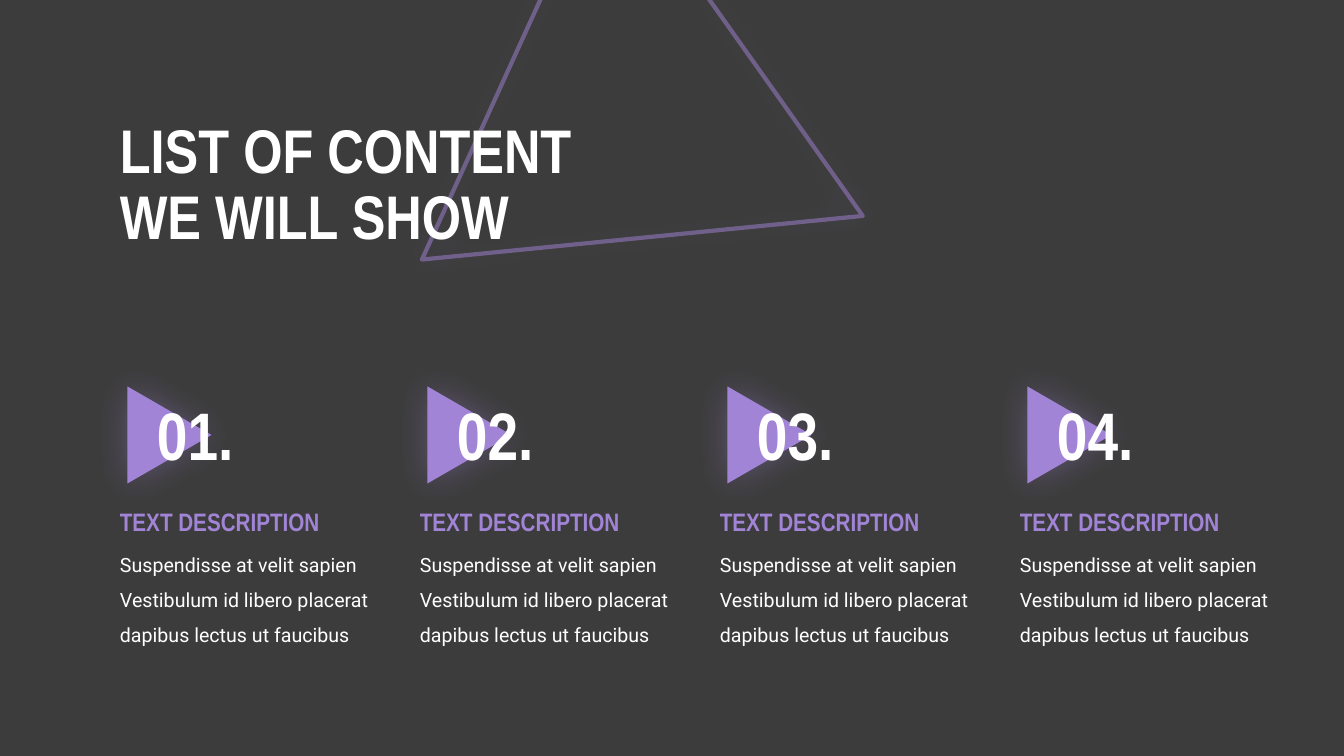
from lxml.etree import SubElement
from pptx import Presentation
from pptx.dml.color import RGBColor
from pptx.enum.shapes import MSO_SHAPE
from pptx.enum.text import MSO_ANCHOR, MSO_AUTO_SIZE
from pptx.oxml.ns import qn
from pptx.util import Emu, Pt

PURPLE, WHITE, CHARCOAL = "A284D7", "FFFFFF", "3C3C3C"
HEADING_FONT, BODY_FONT = "Arial Narrow", "Roboto"
BODY = "Suspendisse at velit sapien Vestibulum id libero placerat dapibus lectus ut faucibus"
COLUMN_PITCH = 300


def px(length):
    return Emu(round(length * 914400 / 100.8))


def color(value):
    return RGBColor.from_string(value)


def add_text(page, box, text, size, font, ink, bold=True, spacing=None):
    frame = page.shapes.add_textbox(*map(px, box)).text_frame
    frame.word_wrap = True
    frame.auto_size = MSO_AUTO_SIZE.SHAPE_TO_FIT_TEXT
    para = frame.paragraphs[0]
    para.text = text
    para.line_spacing = spacing
    for span in para.runs:
        span.font.name = font
        span.font.size = Pt(size)
        span.font.bold = bold
        span.font.color.rgb = color(ink)
    return frame


def add_triangle(page, box, rotation):
    """Add an unfilled, unlined triangle with a soft purple glow."""
    triangle = page.shapes.add_shape(MSO_SHAPE.ISOSCELES_TRIANGLE, *map(px, box))
    triangle.rotation = rotation
    triangle.fill.background()
    triangle.line.fill.background()
    triangle.shadow.inherit = False
    effects = triangle.element.spPr.find(qn("a:effectLst"))
    glow = SubElement(effects, qn("a:outerShdw"), blurRad=str(Pt(25)), dist="0",
                      dir="0", algn="ctr", rotWithShape="0")
    tint = SubElement(glow, qn("a:srgbClr"), val=PURPLE)
    SubElement(tint, qn("a:alpha"), val="35000")
    return triangle


def add_header(page, left, top):
    # Half-transparent outline behind the title
    outline = add_triangle(page, (left + 356, top - 162, 445, 383), 114.5)
    outline.line.color.rgb = color(PURPLE)
    outline.line.width = Pt(3)
    stroke = outline.line._ln.find(".//" + qn("a:srgbClr"))
    SubElement(stroke, qn("a:alpha"), val="50000")

    # Title
    title = add_text(page, (left, top, 566, 159), "LIST OF CONTENT\vWE WILL SHOW",
                     44, HEADING_FONT, WHITE, spacing=0.9)
    title.auto_size = MSO_AUTO_SIZE.NONE
    title.vertical_anchor = MSO_ANCHOR.MIDDLE


def add_item(page, left, top, number):
    # Marker and number
    marker = add_triangle(page, (left + 11, top + 5, 97, 84), 90)
    marker.fill.solid()
    marker.fill.fore_color.rgb = color(PURPLE)
    add_text(page, (left + 37, top, 134, 92), f"{number:02d}.", 48, HEADING_FONT, WHITE)

    # Description
    add_text(page, (left, top + 148, 283, 113), BODY, 14, BODY_FONT, WHITE,
             bold=False, spacing=1.5)
    add_text(page, (left, top + 113, 247, 40), "TEXT DESCRIPTION", 18, HEADING_FONT, PURPLE)


def main():
    deck = Presentation()
    deck.slide_width, deck.slide_height = px(1344), px(756)
    page = deck.slides.add_slide(deck.slide_layouts[6])
    page.background.fill.solid()
    page.background.fill.fore_color.rgb = color(CHARCOAL)

    add_header(page, 110, 107)
    for column in range(4):
        add_item(page, 110 + column * COLUMN_PITCH, 388, column + 1)
    deck.save("out.pptx")


if __name__ == "__main__":
    main()
